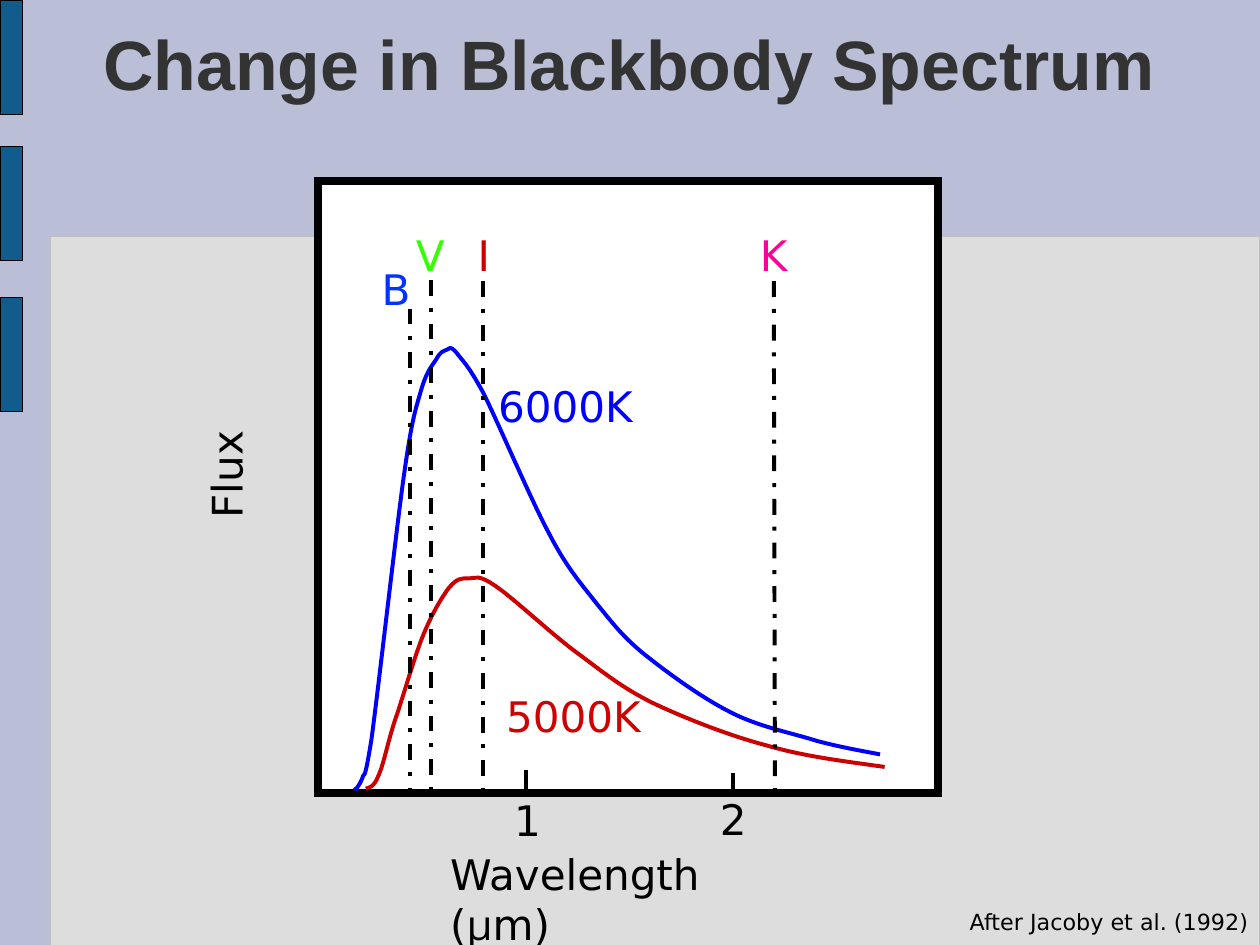
"""Build the slide that compares blackbody spectra at two temperatures."""
from dataclasses import dataclass

from lxml.etree import SubElement
from pptx import Presentation
from pptx.dml.color import RGBColor
from pptx.enum.dml import MSO_LINE
from pptx.enum.shapes import MSO_CONNECTOR, MSO_SHAPE
from pptx.enum.text import MSO_ANCHOR, PP_ALIGN
from pptx.oxml.ns import qn
from pptx.shapes.autoshape import Shape
from pptx.slide import Slide
from pptx.util import Cm, Inches, Pt

Point = tuple[float, float]


@dataclass(frozen=True)
class Theme:
    """Colours, fonts and sizes of the slide."""
    background: str = "BABED6"
    panel: str = "DDDDDD"
    panel_edge: str = "C0C0C0"
    tab: str = "125C8D"
    title: str = "333333"
    ink: str = "000000"
    paper: str = "FFFFFF"
    hot: str = "0000FF"
    cool: str = "CC0000"
    cool_label: str = "CD0202"
    band_b: str = "0033FF"
    band_v: str = "33FF00"
    band_i: str = "CC0000"
    band_k: str = "FF0099"
    title_font: str = "Arial"
    body_font: str = "DejaVu Sans"
    greek_font: str = "Open Sans"
    title_size: float = 44
    label_size: float = 26.5
    credit_size: float = 14
    thin: float = 0.75
    stroke: float = 2.5
    frame: float = 5


THEME = Theme()


@dataclass(frozen=True)
class Box:
    """A filled rectangle."""
    left: float
    top: float
    width: float
    height: float
    fill: str
    edge: str = THEME.ink
    weight: float = THEME.thin


@dataclass(frozen=True)
class Label:
    """A line of text in its box."""
    words: str
    left: float
    top: float
    width: float
    height: float = 0.53
    color: str = THEME.ink
    size: float = THEME.label_size
    font: str = THEME.body_font
    bold: bool = False
    align: PP_ALIGN = PP_ALIGN.LEFT
    anchor: MSO_ANCHOR = MSO_ANCHOR.TOP
    wrap: bool = False
    rotation: float = 0


@dataclass(frozen=True)
class Rule:
    """A straight line in the plot."""
    start: Point
    end: Point
    dashed: bool = False


@dataclass(frozen=True)
class Spectrum:
    """A curve given by a start and triples of Bezier points."""
    color: str
    points: tuple[Point, ...]


BACKDROP = [Box(0.44, 2.07, 10.58, 6.2, THEME.panel, THEME.panel_edge)] + [
    Box(0, top, 0.2, 1, THEME.tab) for top in (0, 1.28, 2.6)]
PLOT = Box(2.78, 1.58, 5.43, 5.36, THEME.paper, weight=THEME.frame)

SPECTRA = (
    Spectrum(THEME.hot, (
        (3.1, 6.91), (3.12, 6.9), (3.14, 6.88), (3.17, 6.81),
        (3.19, 6.73), (3.18, 6.9), (3.25, 6.47),
        (3.31, 6.03), (3.46, 4.7), (3.53, 4.19),
        (3.6, 3.69), (3.63, 3.6), (3.68, 3.43),
        (3.73, 3.25), (3.78, 3.2), (3.82, 3.14),
        (3.85, 3.08), (3.88, 3.07), (3.91, 3.06),
        (3.94, 3.05), (3.93, 3.02), (3.99, 3.08),
        (4.04, 3.15), (4.09, 3.18), (4.23, 3.44),
        (4.36, 3.7), (4.64, 4.36), (4.8, 4.66),
        (4.96, 4.97), (5.08, 5.1), (5.22, 5.28),
        (5.36, 5.45), (5.43, 5.55), (5.62, 5.71),
        (5.82, 5.87), (6.13, 6.1), (6.39, 6.23),
        (6.64, 6.36), (6.92, 6.41), (7.14, 6.48),
        (7.36, 6.54), (7.6, 6.58), (7.7, 6.6))),
    Spectrum(THEME.cool, (
        (3.2, 6.9), (3.23, 6.89), (3.27, 6.89), (3.31, 6.79),
        (3.36, 6.68), (3.39, 6.5), (3.46, 6.29),
        (3.53, 6.09), (3.63, 5.73), (3.71, 5.54),
        (3.79, 5.35), (3.87, 5.22), (3.93, 5.14),
        (4, 5.06), (4.03, 5.06), (4.1, 5.06),
        (4.17, 5.06), (4.18, 5.02), (4.34, 5.13),
        (4.5, 5.24), (4.84, 5.56), (5.06, 5.72),
        (5.29, 5.89), (5.42, 6), (5.69, 6.14),
        (5.96, 6.27), (6.36, 6.43), (6.7, 6.52),
        (7.04, 6.62), (7.39, 6.66), (7.74, 6.71))),
)
RULES = (
    Rule((3.59, 2.7), (3.59, 6.94), True),
    Rule((3.77, 2.45), (3.77, 6.97), True),
    Rule((4.23, 2.46), (4.23, 6.98), True),
    Rule((6.77, 2.46), (6.78, 6.98), True),
    Rule((4.6, 6.74), (4.6, 6.91)),
    Rule((6.41, 6.76), (6.41, 6.92)),
)
LABELS = (
    Label("Change in Blackbody Spectrum", 0, 0, 11.02, 1.1, THEME.title, THEME.title_size,
          THEME.title_font, True, PP_ALIGN.CENTER, MSO_ANCHOR.MIDDLE, True),
    Label("After Jacoby et al. (1992)", 6.34, 7.9, 4.68, 0.33, size=THEME.credit_size,
          align=PP_ALIGN.RIGHT, wrap=True),
    Label("Wavelength (μm)", 3.84, 7.37, 3.35, wrap=True),
    Label("Flux", 1.42, 3.82, 1.1, wrap=True, rotation=270),
    Label("B", 3.24, 2.26, 0.45, color=THEME.band_b),
    Label("V", 3.54, 1.96, 0.45, color=THEME.band_v),
    Label("I", 4.08, 1.96, 0.31, color=THEME.band_i),
    Label("K", 6.55, 1.96, 0.44, color=THEME.band_k),
    Label("1", 4.4, 6.9, 0.43),
    Label("2", 6.2, 6.89, 0.43),
    Label("6000K", 4.26, 3.28, 1.38, color=THEME.hot),
    Label("5000K", 4.33, 5.99, 1.38, color=THEME.cool_label),
)


def draw_box(slide: Slide, box: Box) -> None:
    """Draw a filled rectangle with a sharp-cornered edge."""
    area = slide.shapes.add_shape(MSO_SHAPE.RECTANGLE, Inches(box.left), Inches(box.top),
                                  Inches(box.width), Inches(box.height))
    area.shadow.inherit = False
    area.fill.solid()
    area.fill.fore_color.rgb = RGBColor.from_string(box.fill)
    area.line.color.rgb = RGBColor.from_string(box.edge)
    area.line.width = Pt(box.weight)
    SubElement(area._element.spPr.find(qn("a:ln")), qn("a:miter"), lim="800000")


def bend(curve: Shape) -> None:
    """Turn each three straight segments into one Bezier segment."""
    segments = curve._element.findall(".//" + qn("a:lnTo"))
    outline = segments[0].getparent()
    for first in range(0, len(segments), 3):
        bezier = SubElement(outline, qn("a:cubicBezTo"))
        for segment in segments[first:first + 3]:
            bezier.append(segment[0])
            outline.remove(segment)


def draw_spectrum(slide: Slide, spectrum: Spectrum) -> None:
    """Draw a smooth open curve."""
    start, *rest = [(Inches(x), Inches(y)) for x, y in spectrum.points]
    builder = slide.shapes.build_freeform(*start)
    builder.add_line_segments(rest, close=False)
    curve = builder.convert_to_shape()
    bend(curve)
    curve.shadow.inherit = False
    curve.fill.background()
    curve.line.color.rgb = RGBColor.from_string(spectrum.color)
    curve.line.width = Pt(THEME.stroke)


def draw_rule(slide: Slide, rule: Rule) -> None:
    """Draw a band line or an axis tick."""
    mark = slide.shapes.add_connector(MSO_CONNECTOR.STRAIGHT,
                                      *map(Inches, rule.start + rule.end))
    mark.line.color.rgb = RGBColor.from_string(THEME.ink)
    mark.line.width = Pt(THEME.stroke)
    if rule.dashed:
        mark.line.dash_style = MSO_LINE.DASH_DOT
    SubElement(mark._element.spPr, qn("a:effectLst"))


def draw_label(slide: Slide, label: Label) -> None:
    """Write a label, with the Greek letter in its own font."""
    caption = slide.shapes.add_textbox(Inches(label.left), Inches(label.top),
                                       Inches(label.width), Inches(label.height))
    caption.rotation = label.rotation
    frame = caption.text_frame
    frame.word_wrap = label.wrap
    frame.vertical_anchor = label.anchor
    paragraph = frame.paragraphs[0]
    paragraph.alignment = label.align
    for words in filter(None, label.words.partition("μ")):
        run = paragraph.add_run()
        run.text = words
        run.font.name = THEME.greek_font if words == "μ" else label.font
        run.font.size = Pt(label.size)
        run.font.bold = label.bold
        run.font.color.rgb = RGBColor.from_string(label.color)


def main() -> None:
    """Draw the slide and save it."""
    deck = Presentation()
    deck.slide_width, deck.slide_height = Cm(28), Cm(21)
    slide = deck.slides.add_slide(deck.slide_layouts[6])
    slide.background.fill.solid()
    slide.background.fill.fore_color.rgb = RGBColor.from_string(THEME.background)
    for box in (*BACKDROP, PLOT):
        draw_box(slide, box)
    for spectrum in SPECTRA:
        draw_spectrum(slide, spectrum)
    for rule in RULES:
        draw_rule(slide, rule)
    for label in LABELS:
        draw_label(slide, label)
    deck.save("out.pptx")


if __name__ == "__main__":
    main()
